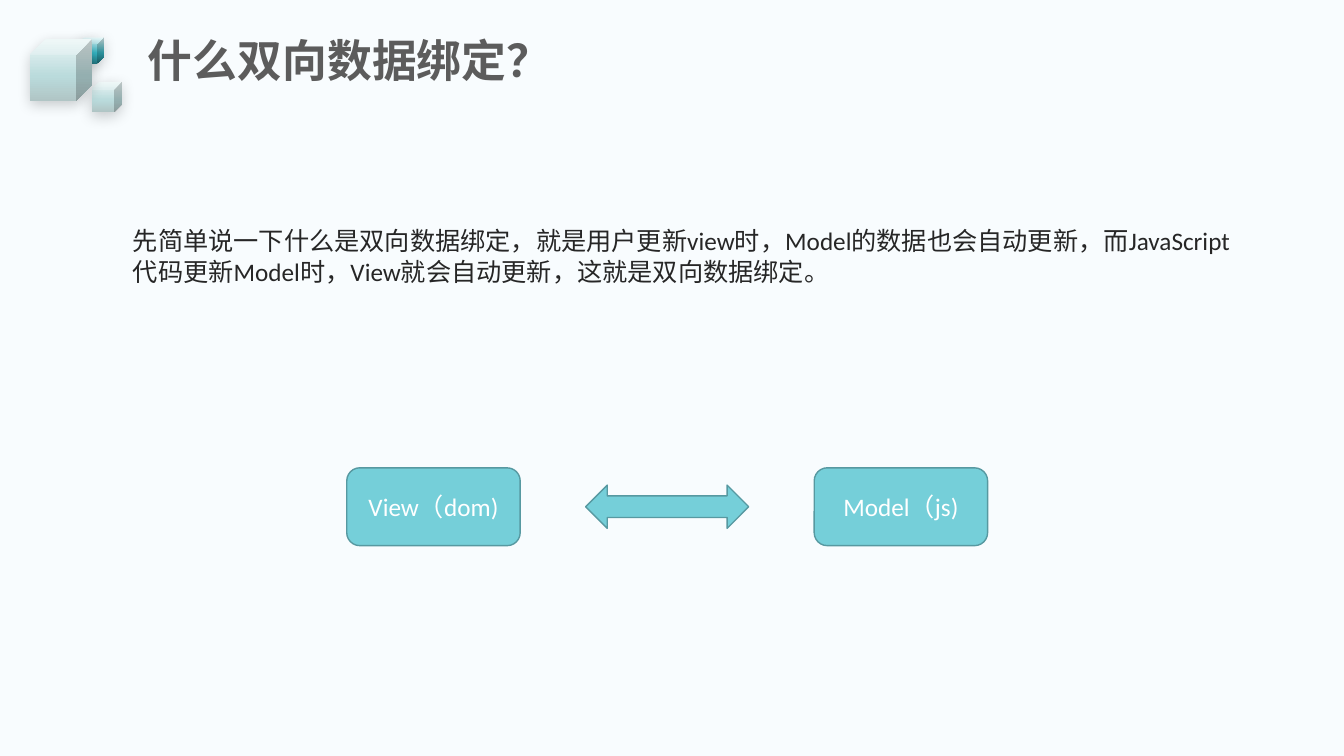
from lxml.etree import SubElement
from pptx import Presentation
from pptx.dml.color import RGBColor
from pptx.enum.shapes import MSO_SHAPE as Preset
from pptx.enum.text import MSO_ANCHOR as Anchor, PP_ALIGN as Align
from pptx.oxml.ns import qn
from pptx.util import Cm, Pt

COLORS = {
    "background": "F8FCFE",
    "title": "5C5C5C",
    "body": "262626",
    "label": "FFFFFF",
    "teal": "75CFD9",
    "outline": "5799A1",
    "shadow": "000000",
}
BRIGHT = {1: "E3F5F7", 60: "36B6C4", 100: "247983"}
PALE = {1: "EAF5F5", 60: "BADBDC", 100: "B0C5C5"}
LATIN, CHINESE = "Calibri", "Noto Sans CJK SC"


def rgb(name):
    return RGBColor.from_string(COLORS[name])


def write(frame, text, size, color, latin=LATIN, bold=False, align=Align.LEFT):
    """Put one run into the frame, with a Chinese font beside the Latin one."""
    frame.word_wrap = True
    paragraph = frame.paragraphs[0]
    paragraph.alignment = align
    run = paragraph.add_run()
    run.text = text
    run.font.size = Pt(size)
    run.font.bold = bold
    run.font.name = latin
    run.font.color.rgb = rgb(color)
    SubElement(run.font._element, qn("a:ea"), typeface=CHINESE)
    return paragraph


def add_text_frame(slide, box, anchor):
    frame = slide.shapes.add_textbox(*map(Cm, box)).text_frame
    frame.vertical_anchor = anchor
    return frame


def add_color(parent, hex_color):
    return SubElement(parent, qn("a:srgbClr"), val=hex_color)


def add_cube(slide, left, top, side, stops):
    """Draw a cube with a top-to-bottom gradient and a soft shadow below."""
    cube = slide.shapes.add_shape(Preset.CUBE, Cm(left), Cm(top), Cm(side), Cm(side))
    cube.line.fill.background()
    cube.fill.gradient()
    cube.fill.gradient_angle = 270
    stop_list = cube._element.spPr.find(".//" + qn("a:gsLst"))
    stop_list.clear()
    for percent, hex_color in stops.items():
        stop = SubElement(stop_list, qn("a:gs"), pos=str(percent * 1000))
        add_color(stop, hex_color)

    cube.shadow.inherit = False
    effects = cube._element.spPr.find(qn("a:effectLst"))
    shadow = SubElement(effects, qn("a:outerShdw"), blurRad=str(Pt(10)),
                        dist=str(Pt(3)), dir="5400000", algn="t", rotWithShape="0")
    SubElement(add_color(shadow, COLORS["shadow"]), qn("a:alpha"), val="20000")


def add_cube_cluster(slide, left, top):
    add_cube(slide, left + 1.2, top, 0.66, BRIGHT)
    add_cube(slide, left + 1.55, top + 1.12, 0.76, PALE)
    add_cube(slide, left, top + 0.05, 1.55, PALE)


def add_title(slide, box):
    frame = add_text_frame(slide, box, Anchor.MIDDLE)
    paragraph = write(frame, "什么双向数据绑定？", 32, "title", CHINESE, bold=True)
    paragraph.line_spacing = 0.9


def add_explanation(slide, box):
    frame = add_text_frame(slide, box, Anchor.TOP)
    write(frame, "先简单说一下什么是双向数据绑定，就是用户更新view时，Model的数据也会自动更新，"
          "而JavaScript代码更新Model时，View就会自动更新，这就是双向数据绑定。", 18, "body")


def add_teal_shape(slide, preset, box):
    shape = slide.shapes.add_shape(preset, *map(Cm, box))
    shape.shadow.inherit = False
    shape.fill.solid()
    shape.fill.fore_color.rgb = rgb("teal")
    shape.line.color.rgb = rgb("outline")
    shape.line.width = Pt(1)
    return shape


def add_binding_diagram(slide, left, top, width, height):
    """Place View and Model at the two ends with a double arrow centred between."""
    node_width, arrow_width, arrow_height = 4.37, 4.11, 1.09
    add_teal_shape(slide, Preset.LEFT_RIGHT_ARROW,
                   (left + (width - arrow_width) / 2, top + (height - arrow_height) / 2,
                    arrow_width, arrow_height))
    nodes = {"View（dom)": left, "Model（js)": left + width - node_width}
    for label, node_left in nodes.items():
        node = add_teal_shape(slide, Preset.ROUNDED_RECTANGLE,
                              (node_left, top, node_width, height))
        node.text_frame.vertical_anchor = Anchor.MIDDLE
        write(node.text_frame, label, 18, "label", align=Align.CENTER)


def main():
    presentation = Presentation()
    presentation.slide_width, presentation.slide_height = Cm(33.87), Cm(19.05)
    slide = presentation.slides.add_slide(presentation.slide_layouts[6])
    slide.background.fill.solid()
    slide.background.fill.fore_color.rgb = rgb("background")

    add_cube_cluster(slide, 0.76, 0.94)
    add_title(slide, (3.48, 0.84, 29.21, 1.5))
    add_explanation(slide, (3.1, 5.56, 28.75, 1.8))
    add_binding_diagram(slide, 8.74, 11.79, 16.15, 1.96)
    presentation.save("out.pptx")


if __name__ == "__main__":
    main()
